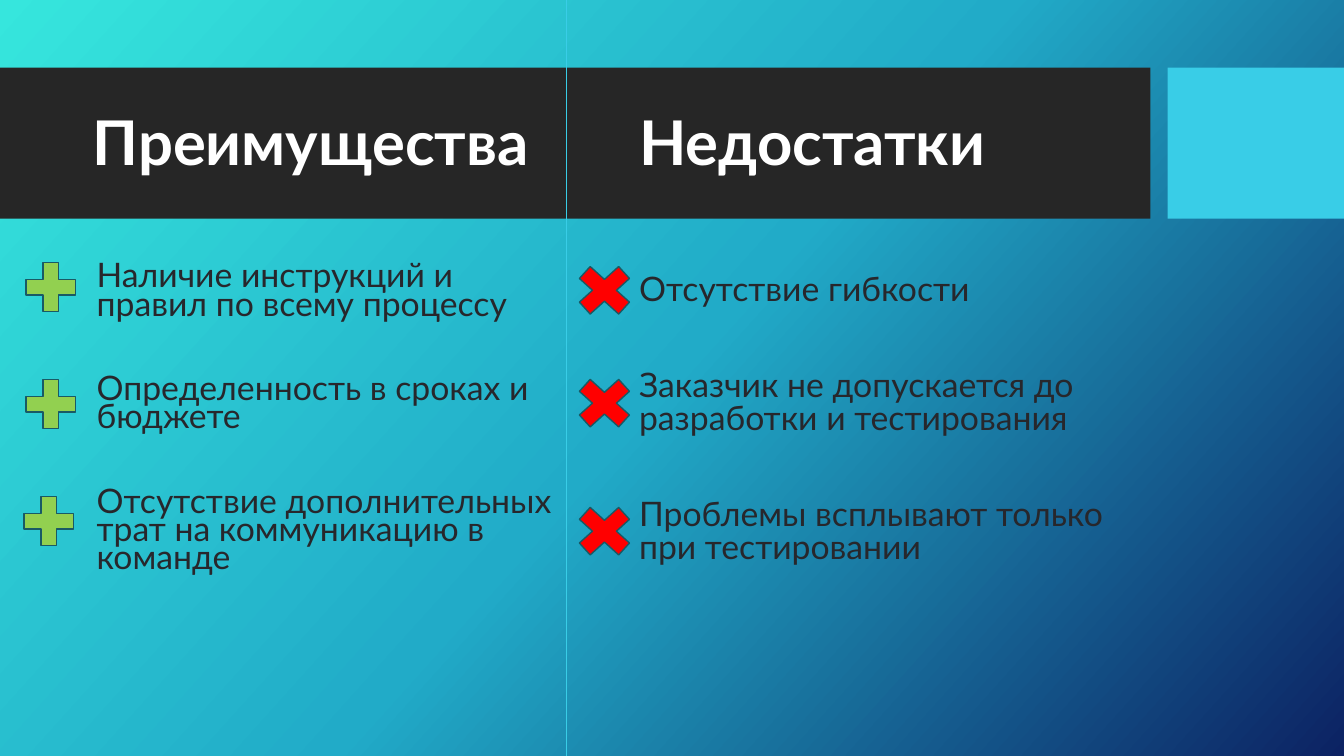
from copy import deepcopy

from lxml import etree
from pptx import Presentation
from pptx.dml.color import RGBColor
from pptx.enum.shapes import MSO_CONNECTOR, MSO_SHAPE
from pptx.enum.text import MSO_ANCHOR
from pptx.oxml.ns import qn
from pptx.util import Inches, Pt

RECTANGLE = MSO_SHAPE.RECTANGLE
PLUS = MSO_SHAPE.MATH_PLUS
CROSS = MSO_SHAPE.MATH_MULTIPLY
STRAIGHT = MSO_CONNECTOR.STRAIGHT
TOP, BOTTOM = MSO_ANCHOR.TOP, MSO_ANCHOR.BOTTOM

COLORS = {
    "turquoise": "36E6DD",
    "teal": "21ABC8",
    "navy": "0C2263",
    "band": "262626",
    "accent": "39CDE7",
    "heading": "FFFFFF",
    "body": "27272C",
    "plus": "92D050",
    "cross": "FF0000",
    "outline": "195A65",
}
FONT = "Lato"


def add_filled(preset, box, color, outline=None):
    shape = slide.shapes.add_shape(preset, *map(Inches, box))
    shape.shadow.inherit = False
    shape.fill.solid()
    shape.fill.fore_color.rgb = RGBColor.from_string(COLORS[color])
    if outline:
        shape.line.color.rgb = RGBColor.from_string(COLORS[outline])
        shape.line.width = Pt(1)
    else:
        shape.line.fill.background()


def add_paragraphs(box, lines, anchor, line_spacing, gap, font_format, color):
    """Add a text box with one paragraph per line, gap points apart."""
    frame = slide.shapes.add_textbox(*map(Inches, box)).text_frame
    frame.word_wrap = True
    frame.vertical_anchor = anchor
    for index, line in enumerate(lines):
        paragraph = frame.paragraphs[0] if index == 0 else frame.add_paragraph()
        paragraph.line_spacing = line_spacing
        paragraph.space_before = Pt(gap if index else 0)
        run = paragraph.add_run()
        run.text = line
        for attribute, value in font_format.items():
            setattr(run.font, attribute, value)
        run.font.color.rgb = RGBColor.from_string(COLORS[color])


HEADING_FORMAT = {"name": FONT, "size": Pt(44), "bold": True}
BODY_FORMAT = {"name": FONT, "size": Pt(24.1)}

prs = Presentation()
prs.slide_width, prs.slide_height = Inches(13.33), Inches(7.5)
slide = prs.slides.add_slide(prs.slide_layouts[6])

# Diagonal gradient background with three stops
background = slide.background.fill
background.gradient()
background.gradient_angle = 360 - 42
stop_list = slide.element.find(".//" + qn("a:gsLst"))
stop_list.insert(1, deepcopy(stop_list[0]))
for stop, position, color in zip(
    background.gradient_stops, (0, 0.5, 1), ("turquoise", "teal", "navy")
):
    stop.position = position
    stop.color.rgb = RGBColor.from_string(COLORS[color])

# Heading band
add_filled(RECTANGLE, (0, 0.67, 11.41, 1.5), "band")
add_filled(RECTANGLE, (11.58, 0.67, 1.75, 1.5), "accent")

# Two columns of arguments
columns = [
    {
        "heading": "Преимущества",
        "heading_left": 0.82,
        "body_box": (0.86, 2.58, 4.89, 3.18),
        "line_spacing": 0.7,
        "gap": 40,
        "items": [
            "Наличие инструкций и правил по всему процессу",
            "Определенность в сроках и бюджете",
            "Отсутствие дополнительных трат на коммуникацию в команде",
        ],
        "marker": (PLUS, "plus", 0.67, 0.66),
        "marker_places": [(0.17, 2.52), (0.17, 3.68), (0.15, 4.84)],
    },
    {
        "heading": "Недостатки",
        "heading_left": 6.24,
        "body_box": (6.24, 2.68, 5.14, 3.18),
        "line_spacing": 0.8,
        "gap": 46,
        "items": [
            "Отсутствие гибкости",
            "Заказчик не допускается до разработки и тестирования",
            "Проблемы всплывают только при тестировании",
        ],
        "marker": (CROSS, "cross", 0.75, 0.68),
        "marker_places": [(5.62, 2.54), (5.62, 3.66), (5.62, 4.93)],
    },
]
for column in columns:
    add_paragraphs((column["heading_left"], 1.06, 4.89, 0.76), [column["heading"]],
                   BOTTOM, 0.9, 0, HEADING_FORMAT, "heading")
    add_paragraphs(column["body_box"], column["items"], TOP,
                   column["line_spacing"], column["gap"], BODY_FORMAT, "body")
    preset, color, width, height = column["marker"]
    for left, top in column["marker_places"]:
        add_filled(preset, (left, top, width, height), color, "outline")

# Divider between the columns
divider = slide.shapes.add_connector(
    STRAIGHT, Inches(5.62), Inches(0), Inches(5.62), Inches(7.5)
)
divider.line.color.rgb = RGBColor.from_string(COLORS["accent"])
divider.line.width = Pt(0.75)
etree.SubElement(divider.element.spPr, qn("a:effectLst"))

prs.save("out.pptx")
